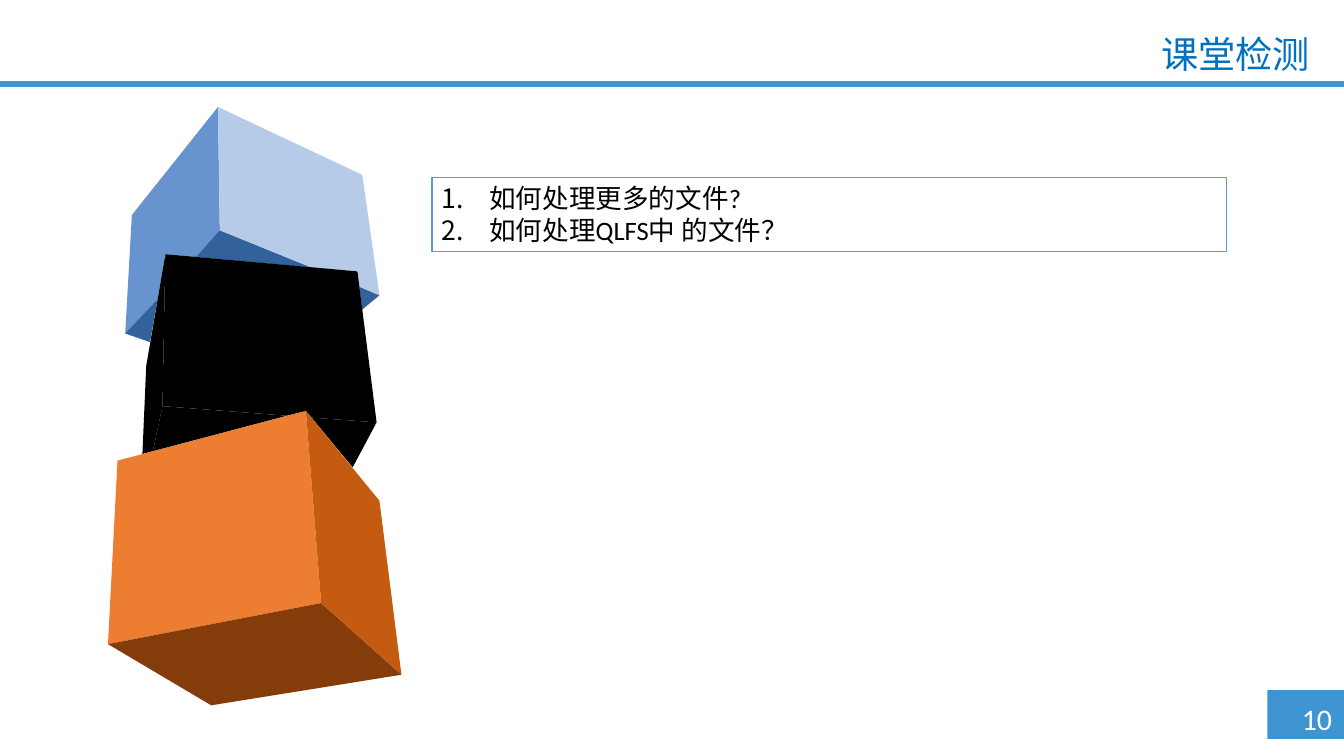
from lxml import etree
from pptx import Presentation
from pptx.dml.color import RGBColor
from pptx.enum.shapes import MSO_SHAPE
from pptx.enum.text import MSO_ANCHOR, PP_ALIGN
from pptx.oxml.ns import qn
from pptx.util import Inches, Pt

RECTANGLE = MSO_SHAPE.RECTANGLE
TOP = MSO_ANCHOR.TOP
LEFT, RIGHT = PP_ALIGN.LEFT, PP_ALIGN.RIGHT

WHITE = RGBColor(0xFF, 0xFF, 0xFF)
BLACK = RGBColor(0, 0, 0)
BAND_BLUE = RGBColor(0x3F, 0x95, 0xD2)
TITLE_BLUE = RGBColor(0x00, 0x70, 0xC0)
BORDER_BLUE = RGBColor(0x5B, 0x9B, 0xD5)
BLUE_SIDE = RGBColor(0x67, 0x94, 0xCE)
BLUE_FRONT = RGBColor(0xB5, 0xCB, 0xE7)
BLUE_BOTTOM = RGBColor(0x32, 0x61, 0x9C)
ORANGE_FRONT = RGBColor(0xED, 0x7D, 0x31)
ORANGE_SIDE = RGBColor(0xC5, 0x5A, 0x11)
ORANGE_BOTTOM = RGBColor(0x84, 0x3C, 0x0B)

LATIN_FONT = "Calibri"
CHINESE_FONT = "Noto Sans CJK SC"
WIDTH, HEIGHT = 14.06, 7.91
UNITS_PER_INCH = 100

TITLE = "课堂检测"
PAGE_NUMBER = "10"
QUESTIONS = ["如何处理更多的文件?", "如何处理QLFS中 的文件？"]

BANDS = [(13.26, 7.22, 0.8, 0.51), (0, 0.85, WIDTH, 0.06)]

CUBE_FACES = [
    (BLUE_SIDE, [[(131, 349), (138, 225), (228, 112), (230, 241), (205, 269),
                  (173, 266), (165, 313)]]),
    (BLACK, [[(149, 475), (153, 383), (173, 266), (170, 425), (160, 472)]]),
    (ORANGE_FRONT, [[(113, 674), (123, 482), (320, 430), (336, 631)]]),
    (BLUE_BOTTOM, [[(376, 300), (379, 324), (397, 309)],
                   [(157, 358), (165, 313), (131, 349)],
                   [(205, 269), (326, 280), (230, 241)]]),
    (BLACK, [[(326, 437), (369, 489), (394, 442)],
             [(160, 472), (300, 435), (170, 425)]]),
    (ORANGE_BOTTOM, [[(113, 674), (336, 631), (420, 706), (221, 738)]]),
    (BLUE_FRONT, [[(230, 241), (228, 112), (379, 183), (397, 309), (376, 300),
                   (374, 284), (326, 280)]]),
    (BLACK, [[(170, 425), (173, 266), (374, 284), (394, 442), (326, 437),
              (320, 430), (300, 435)]]),
    (ORANGE_SIDE, [[(336, 631), (320, 430), (397, 524), (420, 706)]]),
]


def paint(shape, color):
    shape.shadow.inherit = False
    shape.fill.solid()
    shape.fill.fore_color.rgb = color
    shape.line.fill.background()


def add_rectangle(slide, box, color):
    shape = slide.shapes.add_shape(RECTANGLE, *map(Inches, box))
    paint(shape, color)
    return shape


def add_face(slide, color, outlines):
    builder = slide.shapes.build_freeform(*outlines[0][0], scale=Inches(1) / UNITS_PER_INCH)
    for index, outline in enumerate(outlines):
        if index:
            builder.move_to(*outline[0])
        builder.add_line_segments(outline[1:], close=True)
    paint(builder.convert_to_shape(), color)


def write(shape, lines, size, font_name, color, align=LEFT, wrap=True):
    frame = shape.text_frame
    frame.word_wrap = wrap
    frame.vertical_anchor = TOP
    frame.text = "\n".join(lines)
    for paragraph in frame.paragraphs:
        paragraph.alignment = align
        paragraph.font.size = Pt(size)
        paragraph.font.name = font_name
        paragraph.font.color.rgb = color
    return frame


def number(paragraph, indent):
    properties = paragraph._p.get_or_add_pPr()
    properties.set("marL", str(Inches(indent)))
    properties.set("indent", str(-Inches(indent)))
    bullet = etree.Element(qn("a:buAutoNum"), type="arabicPeriod")
    properties.find(qn("a:defRPr")).addprevious(bullet)


def main():
    presentation = Presentation()
    presentation.slide_width = Inches(WIDTH)
    presentation.slide_height = Inches(HEIGHT)
    slide = presentation.slides.add_slide(presentation.slide_layouts[6])

    for band in BANDS:
        add_rectangle(slide, band, BAND_BLUE)

    page_box = slide.shapes.add_textbox(*map(Inches, (13.52, 7.28, 0.65, 0.48)))
    write(page_box, [PAGE_NUMBER], 22.5, LATIN_FONT, WHITE, wrap=False)

    question_box = add_rectangle(slide, (4.52, 1.86, 8.31, 0.77), WHITE)
    question_box.line.color.rgb = BORDER_BLUE
    question_box.line.width = Pt(1)
    for paragraph in write(question_box, QUESTIONS, 20, LATIN_FONT, BLACK).paragraphs:
        number(paragraph, 0.5)

    title_box = slide.shapes.add_textbox(*map(Inches, (6.4, 0.33, 7.4, 0.4)))
    title_frame = write(title_box, [TITLE], 28, CHINESE_FONT, TITLE_BLUE, RIGHT)
    title = title_frame.paragraphs[0]
    title.line_spacing = 0.9
    title_properties = title._p.pPr.find(qn("a:defRPr"))
    etree.SubElement(title_properties, qn("a:ea"), typeface=CHINESE_FONT)

    for color, outlines in CUBE_FACES:
        add_face(slide, color, outlines)

    presentation.save("out.pptx")


if __name__ == "__main__":
    main()
